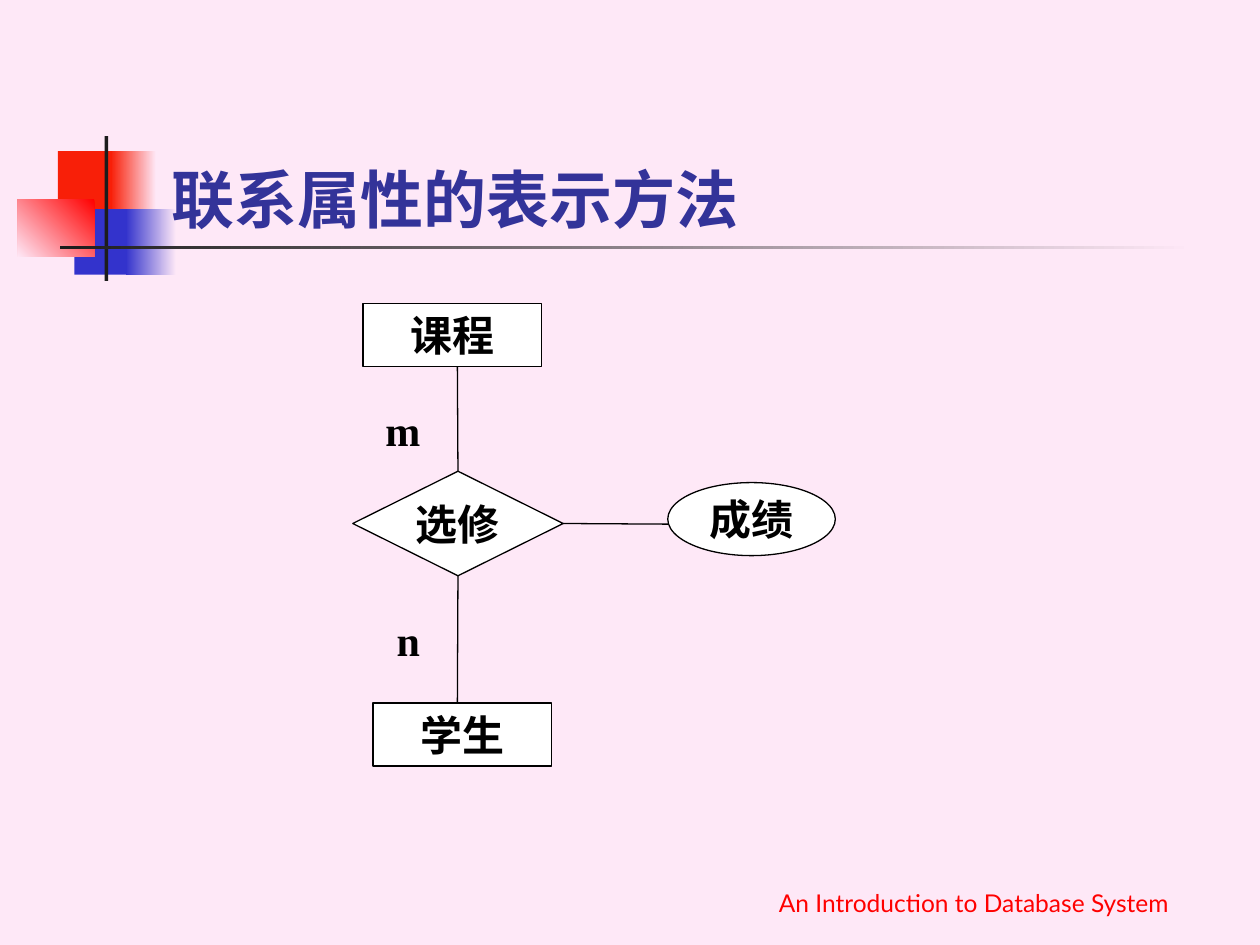
from lxml.etree import SubElement
from pptx import Presentation
from pptx.dml.color import RGBColor
from pptx.enum.shapes import MSO_CONNECTOR, MSO_SHAPE as SHAPE
from pptx.enum.text import MSO_ANCHOR as ANCHOR, PP_ALIGN as ALIGN
from pptx.oxml.ns import qn
from pptx.util import Inches, Pt

PINK, RED, BLUE, DARK = "FEE8F7", "F81F08", "3333CC", "1C1C1C"
BLACK, WHITE = "000000", "FFFFFF"
SERIF, SANS = "Times New Roman", "Lato"

# place, gradient colours (one colour means solid), gradient angle
ornaments = [
    ((0.46, 1.2, 0.48, 0.52), [RED], None),
    ((0.88, 1.2, 0.36, 0.52), [PINK, RED], 180),
    ((0.59, 1.66, 0.46, 0.52), [BLUE], None),
    ((1, 1.66, 0.4, 0.52), [PINK, BLUE], 180),
    ((0.14, 1.58, 0.61, 0.46), ["FF0000", PINK], 225),
    ((0.83, 1.08, 0.03, 1.15), [DARK], None),
    ((0.48, 1.95, 9, 0.03), [PINK, DARK], 180),
]
nodes = [
    ("课程", SHAPE.RECTANGLE, (2.88, 2.41, 1.42, 0.5), ANCHOR.TOP, True),
    ("学生", SHAPE.RECTANGLE, (2.96, 5.58, 1.42, 0.5), ANCHOR.TOP, True),
    ("选修", SHAPE.DIAMOND, (2.8, 3.74, 1.67, 0.83), ANCHOR.MIDDLE, False),
    ("成绩", SHAPE.OVAL, (5.3, 3.83, 1.33, 0.58), ANCHOR.MIDDLE, False),
]
# side of the relationship diamond, far end
links = [(0, (3.63, 2.91)), (2, (3.63, 5.58)), (3, (5.3, 4.16))]
labels = [
    ("联系属性的表示方法", (1.26, 0.67, 8.52, 1.25), ANCHOR.BOTTOM, ALIGN.LEFT,
     (SANS, 36, "333399", True)),
    ("m", (2.96, 3.16, 0.42, 0.5), ANCHOR.TOP, ALIGN.LEFT, (SERIF, 24, BLACK, True)),
    ("n", (3.05, 4.83, 0.42, 0.5), ANCHOR.TOP, ALIGN.LEFT, (SERIF, 24, BLACK, True)),
    ("An Introduction to Database System", (5.71, 6.83, 4.04, 0.5), ANCHOR.BOTTOM,
     ALIGN.CENTER, (SANS, 14, "FF0000", False)),
]


def paint(color_format, color):
    color_format.rgb = RGBColor.from_string(color)


def fill_solid(fill, color):
    fill.solid()
    paint(fill.fore_color, color)


def write(shape, text, anchor, align, style, wrap=True):
    frame = shape.text_frame
    frame.word_wrap = wrap
    frame.vertical_anchor = anchor
    paragraph = frame.paragraphs[0]
    paragraph.text = text
    paragraph.alignment = align
    font = paragraph.font
    font.name, size, color, font.bold = style
    font.size = Pt(size)
    paint(font.color, color)


def add_shape(kind, place):
    shape = slide.shapes.add_shape(kind, *map(Inches, place))
    shape.shadow.inherit = False
    return shape


prs = Presentation()
prs.slide_width, prs.slide_height = Inches(10), Inches(7.5)
slide = prs.slides.add_slide(prs.slide_layouts[6])
fill_solid(slide.background.fill, PINK)

for place, colors, angle in ornaments:
    ornament = add_shape(SHAPE.RECTANGLE, place)
    ornament.line.fill.background()
    if angle is None:
        fill_solid(ornament.fill, colors[0])
    else:
        ornament.fill.gradient()
        ornament.fill.gradient_angle = angle
        for position, (stop, color) in enumerate(zip(ornament.fill.gradient_stops, colors)):
            stop.position = position
            paint(stop.color, color)

node_shapes = {}
for text, kind, place, anchor, wrap in nodes:
    node = node_shapes[text] = add_shape(kind, place)
    fill_solid(node.fill, WHITE)
    paint(node.line.color, BLACK)
    node.line.width = Pt(0.75)
    write(node, text, anchor, ALIGN.CENTER, (SERIF, 24, BLACK, True), wrap)

for side, end in links:
    end_x, end_y = map(Inches, end)
    link = slide.shapes.add_connector(MSO_CONNECTOR.STRAIGHT, end_x, end_y, end_x, end_y)
    link.begin_connect(node_shapes["选修"], side)
    paint(link.line.color, BLACK)
    link.line.width = Pt(0.75)
    SubElement(link._element.spPr, qn("a:effectLst"))

for text, place, anchor, align, style in labels:
    write(slide.shapes.add_textbox(*map(Inches, place)), text, anchor, align, style)

prs.save("out.pptx")
